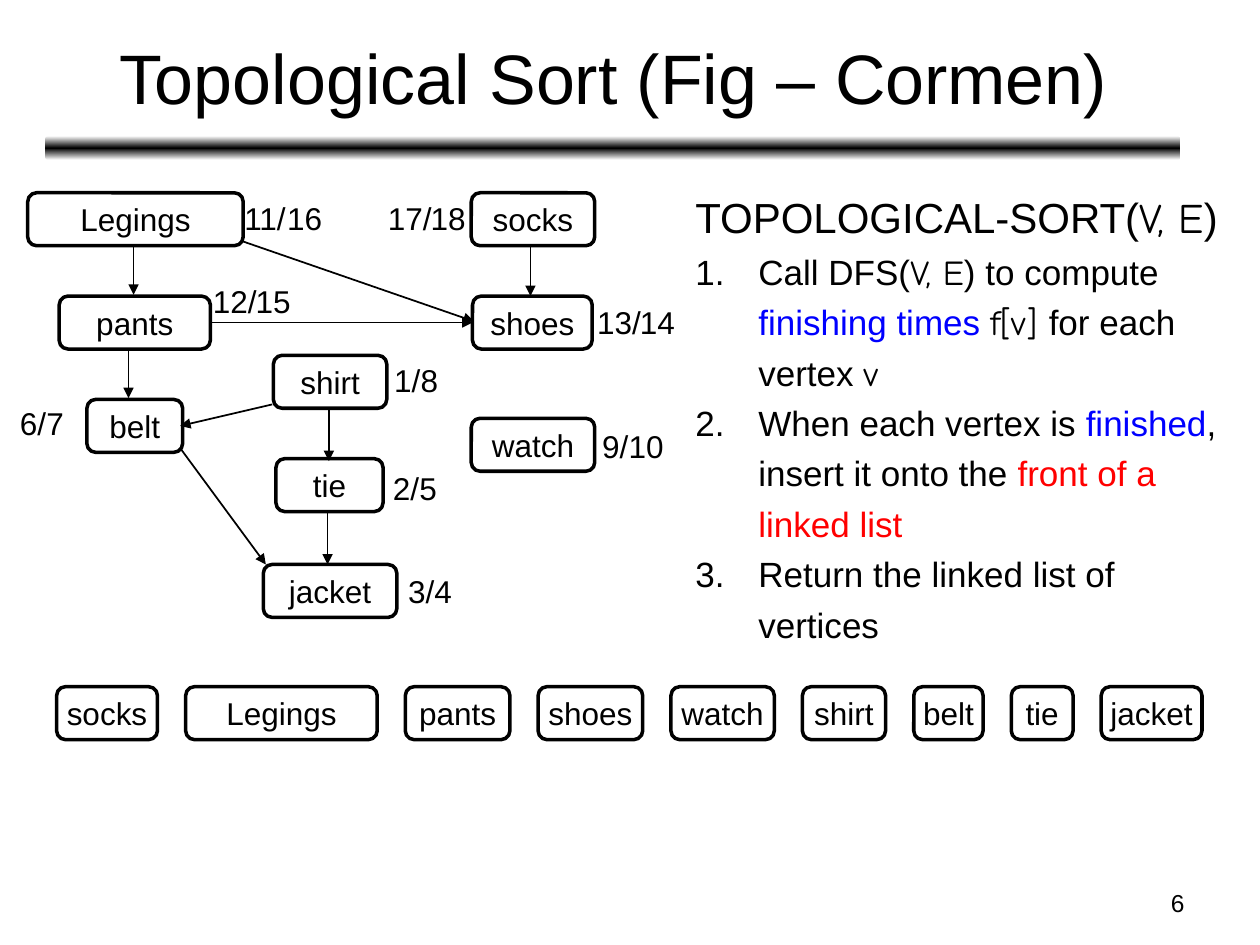
import copy

import pptx
import pptx.dml.color
import pptx.enum.shapes
import pptx.enum.text
import pptx.oxml.ns
import pptx.util

BLACK = pptx.dml.color.RGBColor(0x00, 0x00, 0x00)
WHITE = pptx.dml.color.RGBColor(0xFF, 0xFF, 0xFF)
BLUE = pptx.dml.color.RGBColor(0x00, 0x00, 0xFF)
RED = pptx.dml.color.RGBColor(0xFF, 0x00, 0x00)

BODY_FONT = "Arial"
SYMBOL_FONT = "Comic Neue"
ALIGN = pptx.enum.text.PP_ALIGN
ANCHOR = pptx.enum.text.MSO_ANCHOR

SLIDE_WIDTH = pptx.util.Inches(10)
SLIDE_HEIGHT = pptx.util.Inches(7.5)
COLUMN = SLIDE_WIDTH / 100
ROW = SLIDE_HEIGHT / 75
NODE_HEIGHT = 4.2

GARMENTS = [
    ("Legings", 2.2, 15.3, 17.1),
    ("pants", 4.7, 23.5, 12),
    ("belt", 6.9, 31.7, 7.6),
    ("socks", 37.4, 15.3, 9.8),
    ("shoes", 37.5, 23.5, 9.5),
    ("watch", 37.4, 33.2, 9.8),
    ("shirt", 21.7, 28.2, 9),
    ("tie", 21.9, 36.4, 8.5),
    ("jacket", 20.9, 44.8, 10.6),
]

DEPENDENCIES = [
    (19.1, 19.1, 37.6, 25.5),
    (16.6, 25.6, 37.5, 25.6),
    (26.1, 32.4, 26.1, 36.6),
    (26, 40.7, 26, 44.8),
    (21.6, 32.1, 14.3, 33.8),
    (14.4, 35.7, 21.1, 44.8),
    (42.1, 19.6, 42.1, 23.5),
    (10.6, 19.5, 10.6, 23.4),
    (10.2, 27.7, 10.2, 31.6),
]

DFS_TIMES = [
    ("1/", "8", 30.3, 28.2),
    ("2/", "5", 30.2, 36.75),
    ("3/", "4", 31.4, 44.9),
    ("6/", "7", 0.6, 31.6),
    ("9/", "10", 46.8, 33.4),
    ("11/", "16", 18.4, 15.3),
    ("12/", "15", 15.9, 21.9),
    ("13/", "14", 46.4, 23.6),
    ("17/", "18", 29.8, 15.3),
]

SORTED_ROW = 54.5
SORTED_LEFT, SORTED_RIGHT = 4.5, 95.4
SORTED_GARMENTS = [
    ("socks", 8), ("Legings", 15.2), ("pants", 8.3), ("shoes", 8.3),
    ("watch", 8.2), ("shirt", 6.6), ("belt", 5.5), ("tie", 4.9), ("jacket", 8),
]

HEADING = [
    ("TOPOLOGICAL-SORT(", {}),
    ("V, E", {"font": SYMBOL_FONT}),
    (")", {}),
]
STEPS = [
    [
        ("Call DFS(", {}),
        ("V, E", {"font": SYMBOL_FONT}),
        (") to compute ", {}),
        ("finishing times ", {"color": BLUE}),
        ("f[v] ", {"font": SYMBOL_FONT}),
        ("for each vertex ", {}),
        ("v", {"font": SYMBOL_FONT}),
    ],
    [
        ("When each vertex is ", {}),
        ("finished", {"color": BLUE}),
        (", insert it onto the ", {}),
        ("front of a linked list", {"color": RED}),
    ],
    [("Return the linked list of vertices", {})],
]


def grid(left, top, width, height):
    return (round(left * COLUMN), round(top * ROW),
            round(width * COLUMN), round(height * ROW))


def write_text(paragraph, text, size=18, font=BODY_FONT, color=BLACK):
    run = paragraph.add_run()
    run.text = text
    run.font.size = pptx.util.Pt(size)
    run.font.name = font
    run.font.color.rgb = color


def frame_text(shape, text, align=ALIGN.LEFT, anchor=ANCHOR.TOP, wrap=False, **text_format):
    frame = shape.text_frame
    frame.word_wrap = wrap
    frame.vertical_anchor = anchor
    paragraph = frame.paragraphs[0]
    paragraph.alignment = align
    write_text(paragraph, text, **text_format)


def add_label(slide, text, place, **text_format):
    frame_text(slide.shapes.add_textbox(*grid(*place)), text, **text_format)


def add_round_box(slide, place):
    shape = slide.shapes.add_shape(
        pptx.enum.shapes.MSO_SHAPE.ROUNDED_RECTANGLE, *grid(*place))
    shape.shadow.inherit = False
    return shape


def add_title_bar(slide):
    bar = add_round_box(slide, (3.6, 10.8, 90.1, 1.9))
    bar.line.fill.background()
    bar.fill.gradient()
    bar.fill.gradient_angle = 90
    stop_list = bar._element.spPr.find(".//" + pptx.oxml.ns.qn("a:gsLst"))
    stop_list.insert(1, copy.deepcopy(stop_list[0]))
    for stop, position, color in zip(
            bar.fill.gradient_stops, (0, 0.5, 1), (WHITE, BLACK, WHITE)):
        stop.position = position
        stop.color.rgb = color


def add_garment(slide, name, left, top, width):
    box = add_round_box(slide, (left, top, width, NODE_HEIGHT))
    box.fill.background()
    box.line.color.rgb = BLACK
    box.line.width = pptx.util.Pt(2)
    frame_text(box, name, align=ALIGN.CENTER, anchor=ANCHOR.MIDDLE)


def add_arrow(slide, start_column, start_row, end_column, end_row):
    arrow = slide.shapes.add_connector(
        pptx.enum.shapes.MSO_CONNECTOR.STRAIGHT,
        *grid(start_column, start_row, end_column, end_row))
    arrow.line.color.rgb = BLACK
    arrow.line.width = pptx.util.Pt(1)
    line = arrow.line._get_or_add_ln()
    line.append(line.makeelement(pptx.oxml.ns.qn("a:tailEnd"), {"type": "triangle"}))
    properties = arrow._element.spPr
    properties.append(properties.makeelement(pptx.oxml.ns.qn("a:effectLst"), {}))


def add_times(slide, discovery, finish, left, top):
    finish_left = left + (2.1 if len(discovery) == 2 else 3.4)
    add_label(slide, discovery, (left, top, 1.3 + 1.4 * len(discovery), 4))
    add_label(slide, finish, (finish_left, top, 2 + 1.4 * len(finish), 4))


def add_sorted_list(slide):
    free_width = SORTED_RIGHT - SORTED_LEFT - sum(width for _, width in SORTED_GARMENTS)
    gap = free_width / (len(SORTED_GARMENTS) - 1)
    left = SORTED_LEFT
    for name, width in SORTED_GARMENTS:
        add_garment(slide, name, left, SORTED_ROW, width)
        left += width + gap


def add_algorithm(slide):
    frame = slide.shapes.add_textbox(*grid(54.2, 13.9, 44.8, 37.8)).text_frame
    frame.word_wrap = True
    for index, pieces in enumerate([HEADING] + STEPS):
        paragraph = frame.add_paragraph() if index else frame.paragraphs[0]
        paragraph.line_spacing = 1.2
        properties = paragraph._p.get_or_add_pPr()
        indent = pptx.util.Inches(0.5)
        properties.set("marL", str(indent))
        properties.set("indent", str(-indent))
        if index:
            properties.append(properties.makeelement(
                pptx.oxml.ns.qn("a:buAutoNum"), {"type": "arabicPeriod"}))
        for text, text_format in pieces:
            write_text(paragraph, text, size=20 if index else 24, **text_format)


def main():
    presentation = pptx.Presentation()
    presentation.slide_width = SLIDE_WIDTH
    presentation.slide_height = SLIDE_HEIGHT
    slide = presentation.slides.add_slide(presentation.slide_layouts[6])
    add_title_bar(slide)
    add_label(slide, "6", (71.7, 70, 23.3, 3.5), align=ALIGN.RIGHT, wrap=True, size=14)
    add_label(slide, "Topological Sort (Fig – Cormen)", (3.7, 1.1, 90, 9.9),
              align=ALIGN.CENTER, anchor=ANCHOR.MIDDLE, wrap=True, size=40)
    for garment in GARMENTS:
        add_garment(slide, *garment)
    for dependency in DEPENDENCIES:
        add_arrow(slide, *dependency)
    add_algorithm(slide)
    for times in DFS_TIMES:
        add_times(slide, *times)
    add_sorted_list(slide)
    presentation.save("out.pptx")


if __name__ == "__main__":
    main()
